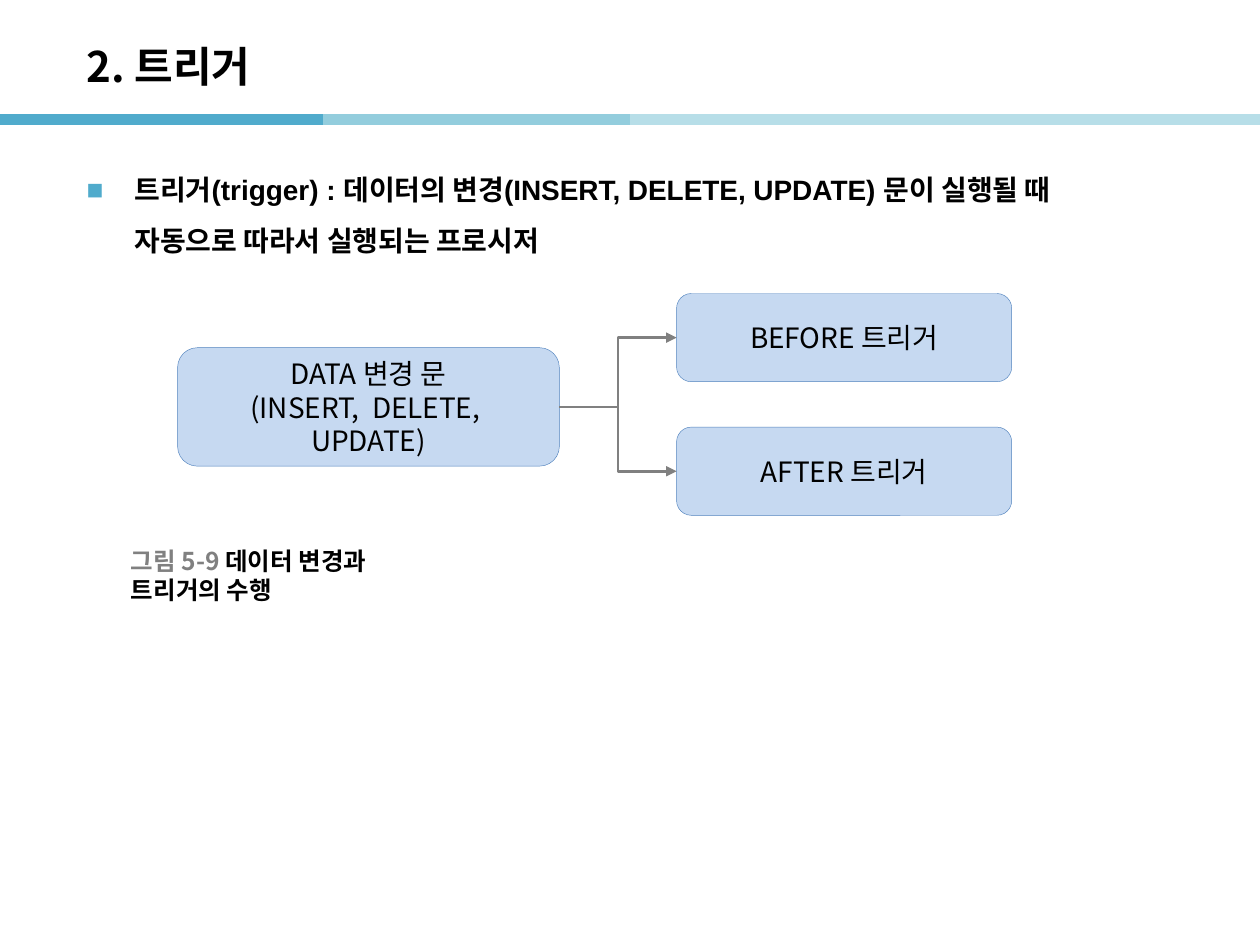
from lxml import etree
from pptx import Presentation, util as u
from pptx.dml.color import RGBColor
from pptx.enum import shapes, text
from pptx.oxml import ns

SANS = "Noto Sans CJK KR"
BLACK, GRAY = "000000", "808080"
CELL = u.Inches(0.1)  # grid of 100 columns by 75 rows


def grid(*cells):
    return [round(c * CELL) for c in cells]


def write(frame, lines, size, bold=False, face=SANS, align=None):
    """Fill a text frame, one paragraph a line; a line is a list of (words, colour)."""
    frame.word_wrap = True
    for i, line in enumerate(lines):
        para = frame.paragraphs[0] if i == 0 else frame.add_paragraph()
        para.alignment = align
        font = para.font
        font.size, font.bold, font.name = u.Pt(size), bold, face
        east = etree.SubElement(para._p.pPr.find(ns.qn("a:defRPr")), ns.qn("a:ea"))
        east.set("typeface", SANS)
        for words, hue in line:
            run = para.add_run()
            run.text = words
            run.font.color.rgb = RGBColor.from_string(hue)


deck = Presentation()
deck.slide_width, deck.slide_height = grid(100, 75)
slide = deck.slides.add_slide(deck.slide_layouts[6])
parts = slide.shapes

# Rule under the title
for left, hue in [(0, "50ABCC"), (25.6, "93CDDD"), (50, "B7DEE8"), (74.6, "B7DEE8")]:
    rule = parts.add_connector(shapes.MSO_CONNECTOR.STRAIGHT,
                               *grid(left, 9.5, left + 25.6, 9.5))
    rule.line.color.rgb = RGBColor.from_string(hue)
    rule.line.width = u.Pt(6)
    etree.SubElement(rule._element.spPr, ns.qn("a:effectLst"))

# Title
title = parts.add_textbox(*grid(5.9, 2.2, 82.7, 6)).text_frame
title.vertical_anchor = text.MSO_ANCHOR.MIDDLE
write(title, [[("2. 트리거", BLACK)]], 24, bold=True)

# Definition with a square bullet
body = parts.add_textbox(*grid(5.9, 11.9, 82.7, 59.8)).text_frame
para = body.paragraphs[0]
para.line_spacing = 1.5
props = para._p.get_or_add_pPr()
props.set("marL", str(u.Inches(0.38)))
props.set("indent", str(-u.Inches(0.38)))
tint = etree.SubElement(props, ns.qn("a:buClr"))
etree.SubElement(tint, ns.qn("a:srgbClr")).set("val", "50ABCC")
etree.SubElement(props, ns.qn("a:buFont")).set("typeface", "Arial")
etree.SubElement(props, ns.qn("a:buChar")).set("char", "■")
write(body, [[("트리거(trigger) : 데이터의 변경(INSERT, DELETE, UPDATE) 문이 실행될 때 "
               "자동으로 따라서 실행되는 프로시저", BLACK)]], 16, bold=True, face="Arial")

# Boxes: the change statement, then the two triggers
boxes = []
for spot, lines in [
    ((14.1, 27.6, 30.3, 9.4), ["DATA 변경 문", "(INSERT,  DELETE,  UPDATE)"]),
    ((53.7, 23.3, 26.6, 7), ["BEFORE 트리거"]),
    ((53.7, 33.9, 26.6, 7), ["AFTER 트리거"]),
]:
    box = parts.add_shape(shapes.MSO_SHAPE.ROUNDED_RECTANGLE, *grid(*spot))
    box.shadow.inherit = False
    box.fill.solid()
    box.fill.fore_color.rgb = RGBColor.from_string("C6D9F1")
    box.line.color.rgb = RGBColor.from_string("4F81BD")
    box.line.width = u.Pt(0.25)
    box.text_frame.vertical_anchor = text.MSO_ANCHOR.MIDDLE
    write(box.text_frame, [[(line, BLACK)] for line in lines], 16,
          align=text.PP_ALIGN.CENTER)
    boxes.append(box)

# Arrows from the statement's right side to each trigger's left side
start, *ends = boxes
for end in reversed(ends):
    arrow = parts.add_connector(shapes.MSO_CONNECTOR.ELBOW, 0, 0, 0, 0)
    arrow.begin_connect(start, 3)
    arrow.end_connect(end, 1)
    arrow.line.color.rgb = RGBColor.from_string(GRAY)
    arrow.line.width = u.Pt(1.5)
    etree.SubElement(arrow.line._get_or_add_ln(), ns.qn("a:tailEnd")).set("type", "triangle")
    etree.SubElement(arrow._element.spPr, ns.qn("a:effectLst"))

# Caption
note = parts.add_textbox(*grid(9.4, 44.1, 20.9, 3.1)).text_frame
note.vertical_anchor = text.MSO_ANCHOR.MIDDLE
write(note, [[("그림 5-9 ", GRAY), ("데이터 변경과 트리거의 수행", BLACK)]], 14, bold=True)
note.word_wrap = False

deck.save("out.pptx")
